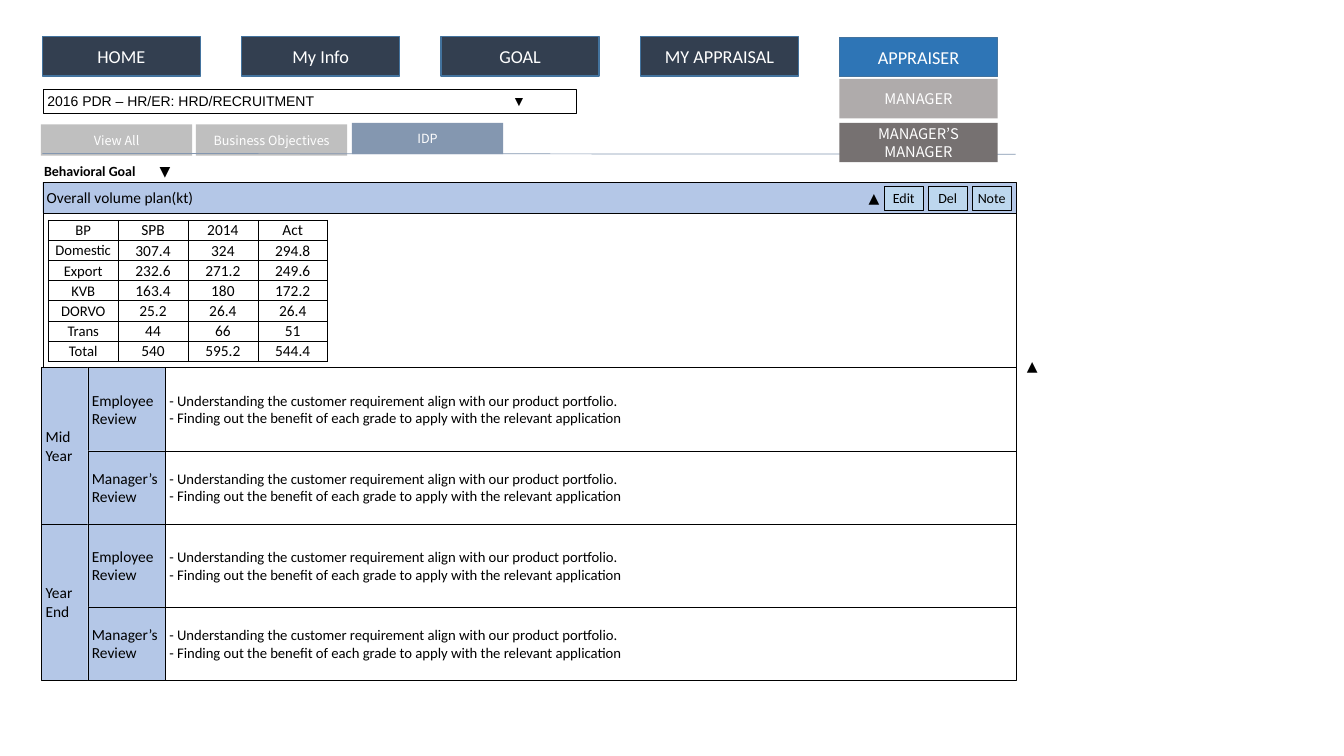
import dataclasses

import pptx
import pptx.dml.color
import pptx.enum.shapes
import pptx.enum.text
import pptx.oxml.ns
import pptx.util
from lxml import etree

Pt = pptx.util.Pt
RGB = pptx.dml.color.RGBColor.from_string
qn = pptx.oxml.ns.qn
Align = pptx.enum.text.PP_ALIGN
Anchor = pptx.enum.text.MSO_ANCHOR
SIDES = ("margin_left", "margin_top", "margin_right", "margin_bottom")


@dataclasses.dataclass(frozen=True)
class Theme:
    black: str = "000000"
    white: str = "FFFFFF"
    navy: str = "333F50"
    edge: str = "43739E"
    blue: str = "2E75B6"
    head: str = "B4C7E7"
    button: str = "BDD7EE"
    slate: str = "8497B0"
    pale: str = "BFBFBF"
    gray: str = "AFABAB"
    dark: str = "767171"
    sans: str = "Calibri"
    plain: str = "Arial"
    noto: str = "Noto Sans CJK KR"
    nav: float = 13
    label: float = 11
    body: float = 10.5
    small: float = 10
    tab: float = 9


T = Theme()
DARK = {"size": T.label, "name": T.sans, "color": T.black}
LIGHT = {"size": T.nav, "name": T.sans, "color": T.white}
SMALL = DARK | {"size": T.small}
BODY = DARK | {"size": T.body}
NOTO = LIGHT | {"size": T.body, "name": T.noto}
TAB = NOTO | {"size": T.tab}
INSETS = (2.9,) * 4

PLAN = [
    ("BP", "SPB", "2014", "Act"),
    ("Domestic", "307.4", "324", "294.8"),
    ("Export", "232.6", "271.2", "249.6"),
    ("KVB", "163.4", "180", "172.2"),
    ("DORVO", "25.2", "26.4", "26.4"),
    ("Trans", "44", "66", "51"),
    ("Total", "540", "595.2", "544.4"),
]
REVIEW = [
    "- Understanding the customer requirement align with our product portfolio.",
    "- Finding out the benefit of each grade to apply with the relevant application",
]


def assign(item, values):
    for key, value in values.items():
        setattr(item, key, value)


def style(run, font):
    assign(run.font, {"size": Pt(font["size"]), "name": font["name"],
                      "bold": font.get("bold", False)})
    run.font.color.rgb = RGB(font["color"])


def write(frame, lines, font, align=Align.CENTER, stop=None):
    for i, line in enumerate(lines):
        para = frame.paragraphs[0] if i == 0 else frame.add_paragraph()
        para.alignment = align
        if stop:
            tabs = etree.SubElement(para._p.get_or_add_pPr(), qn("a:tabLst"))
            etree.SubElement(tabs, qn("a:tab"), pos=str(Pt(stop)), algn="l")
        for j, part in enumerate(line.split("\n")):
            if j:
                para.add_line_break()
                mark = para._p.findall(qn("a:br"))[-1]
                etree.SubElement(mark, qn("a:rPr"), sz=str(int(font["size"] * 100)))
            run = para.add_run()
            run.text = part
            style(run, font)


def pad(frame, insets):
    assign(frame, {side: Pt(size) for side, size in zip(SIDES, insets)})


def add_box(slide, place, lines=(), font=DARK, fill=None, line=T.black,
            width=0.25, align=Align.CENTER, insets=INSETS, stop=None):
    box = slide.shapes.add_shape(pptx.enum.shapes.MSO_SHAPE.RECTANGLE, *map(Pt, place))
    box.shadow.inherit = False
    if fill:
        box.fill.solid()
        box.fill.fore_color.rgb = RGB(fill)
    else:
        box.fill.background()
    if line:
        box.line.color.rgb = RGB(line)
        box.line.width = Pt(width)
    else:
        box.line.fill.background()
    assign(box.text_frame, {"word_wrap": True, "vertical_anchor": Anchor.MIDDLE})
    pad(box.text_frame, insets)
    write(box.text_frame, lines, font, align, stop)


def add_text(slide, place, text, font, align=Align.CENTER, insets=(7.2, 3.6, 7.2, 3.6), stop=None):
    frame = slide.shapes.add_textbox(*map(Pt, place)).text_frame
    frame.word_wrap = True
    pad(frame, insets)
    write(frame, [text], font, align, stop)
    return frame


def add_border(cell):
    props = cell._tc.get_or_add_tcPr()
    for i, side in enumerate(("lnL", "lnR", "lnT", "lnB")):
        line = etree.Element(qn("a:" + side), w=str(Pt(0.5)))
        fill = etree.SubElement(line, qn("a:solidFill"))
        etree.SubElement(fill, qn("a:srgbClr"), val=T.black)
        props.insert(i, line)


def add_plan(slide, place):
    table = slide.shapes.add_table(len(PLAN), len(PLAN[0]), *map(Pt, place)).table
    assign(table, {"first_row": False, "horz_banding": False})
    for col in table.columns:
        col.width = Pt(place[2] / len(PLAN[0]))
    for row, values in zip(table.rows, PLAN):
        row.height = Pt(place[3] / len(PLAN))
        for i, (cell, value) in enumerate(zip(row.cells, values)):
            cell.fill.background()
            cell.vertical_anchor = Anchor.MIDDLE
            pad(cell, (0.7, 0.7, 0.7, 0))
            write(cell.text_frame, [value], DARK if i else BODY)
            add_border(cell)


def add_rule(slide, start, end):
    rule = slide.shapes.add_connector(
        pptx.enum.shapes.MSO_CONNECTOR.STRAIGHT, *map(Pt, start + end))
    rule.line.color.rgb = RGB(T.slate)
    rule.line.width = Pt(0.5)
    etree.SubElement(rule._element.spPr, qn("a:effectLst"))


def add_year(slide, top, name):
    tall, short = 59.4, 52.2
    left = {"fill": T.head, "align": Align.LEFT}
    add_box(slide, (29.7, top, 33, tall + short), [name], **left)
    for who, y, height in (("Employee", top, tall), ("Manager’s", top + tall, short)):
        add_box(slide, (62.7, y, 55.4, height), [who + "\nReview"], **left)
        add_box(slide, (118.1, y, 607.7, height), REVIEW, BODY, align=Align.LEFT)


def add_menu(slide):
    wide = (7.2, 3.6, 7.2, 3.6)
    for i, name in enumerate(("HOME", "My Info", "GOAL", "MY APPRAISAL")):
        add_box(slide, (30.2 + 142.4 * i, 26.2, 113, 28.1), [name], LIGHT,
                T.navy, T.edge, 1, insets=wide)
    tabs = (("View All", 29.3, 88.8, T.pale), ("Business Objectives", 140, 88.8, T.pale),
            ("IDP", 251.4, 87.8, T.slate))
    for name, x, y, fill in tabs:
        add_box(slide, (x, y, 108, 22.3), [name], TAB, fill, None, insets=wide)
    add_rule(slide, (30.2, 109.6), (725.4, 110.2))
    roles = (("APPRAISER", 26.8, LIGHT, T.blue, T.edge),
             ("MANAGER", 56.4, NOTO, T.gray, None),
             ("MANAGER’S MANAGER", 87.8, NOTO, T.dark, None))
    for name, y, font, fill, line in roles:
        add_box(slide, (599.6, y, 113, 28.1), [name], font, fill, line, 1, insets=wide)


def main():
    deck = pptx.Presentation()
    assign(deck, {"slide_width": Pt(960), "slide_height": Pt(540)})
    slide = deck.slides.add_slide(deck.slide_layouts[6])
    add_box(slide, (30.5, 152, 695.2, 110.4))
    add_box(slide, (30.5, 130.2, 695.2, 22), ["Overall volume plan(kt)"],
            fill=T.head, align=Align.LEFT)
    goal = add_text(slide, (30.2, 114.4, 119.5, 15.1), "Behavioral Goal\t", SMALL | {"bold": True},
                    Align.LEFT, (1.4,) * 4, 82.5)
    arrow = goal.paragraphs[0].add_run()
    arrow.text = "▼"
    style(arrow, SMALL)
    add_plan(slide, (34.5, 157.2, 199.6, 100.8))
    for i, name in enumerate(("Edit", "Del", "Note")):
        add_box(slide, (631.4 + 31.4 * i, 133, 28.3, 17.3), [name], SMALL, T.button)
    for x, y in ((613.4, 131.8), (726.5, 251.6)):
        add_text(slide, (x, y, 17.3, 19.4), "▲", SMALL)
    for i, name in enumerate(("Mid\nYear", "Year\nEnd")):
        add_year(slide, 262.6 + 111.6 * i, name)
    add_box(slide, (31, 63.7, 380.9, 17.3), ["2016 PDR – HR/ER: HRD/RECRUITMENT\t▼"],
            SMALL | {"name": T.plain}, align=Align.LEFT, stop=332)
    add_menu(slide)
    deck.save("out.pptx")


if __name__ == "__main__":
    main()
